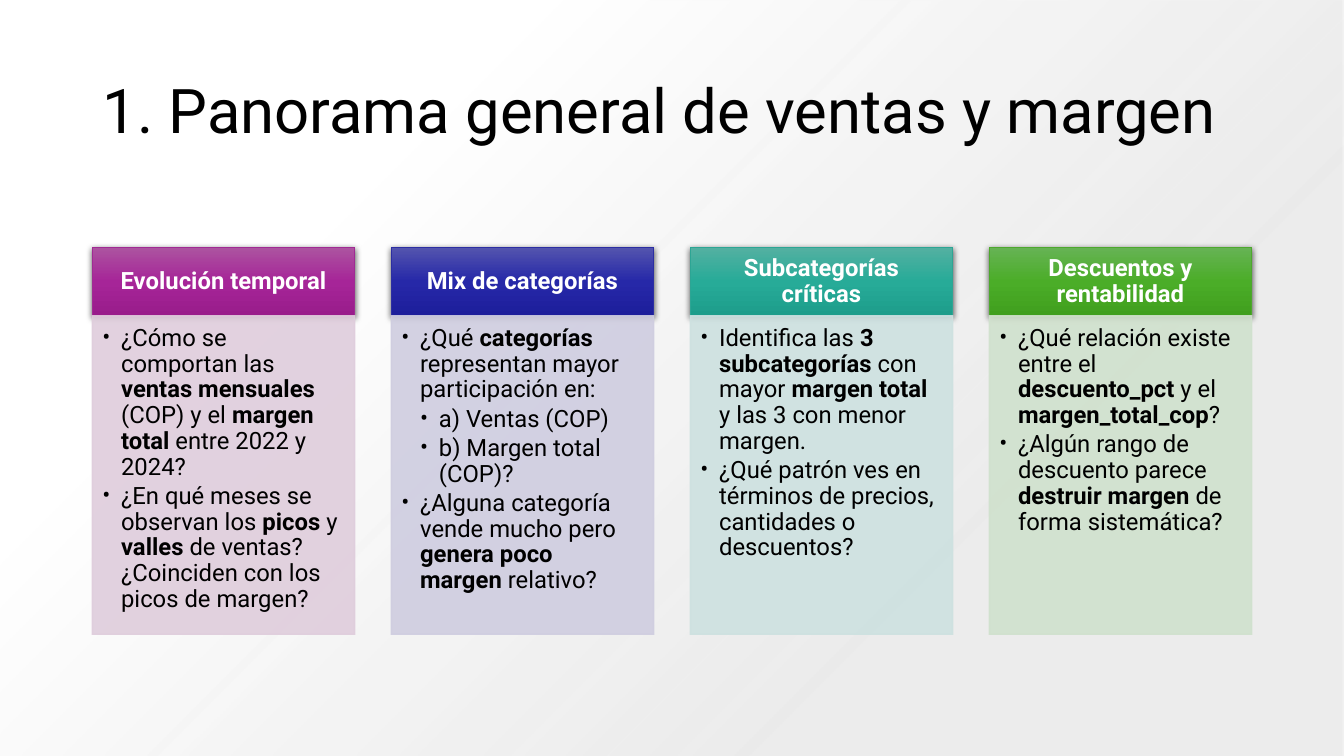
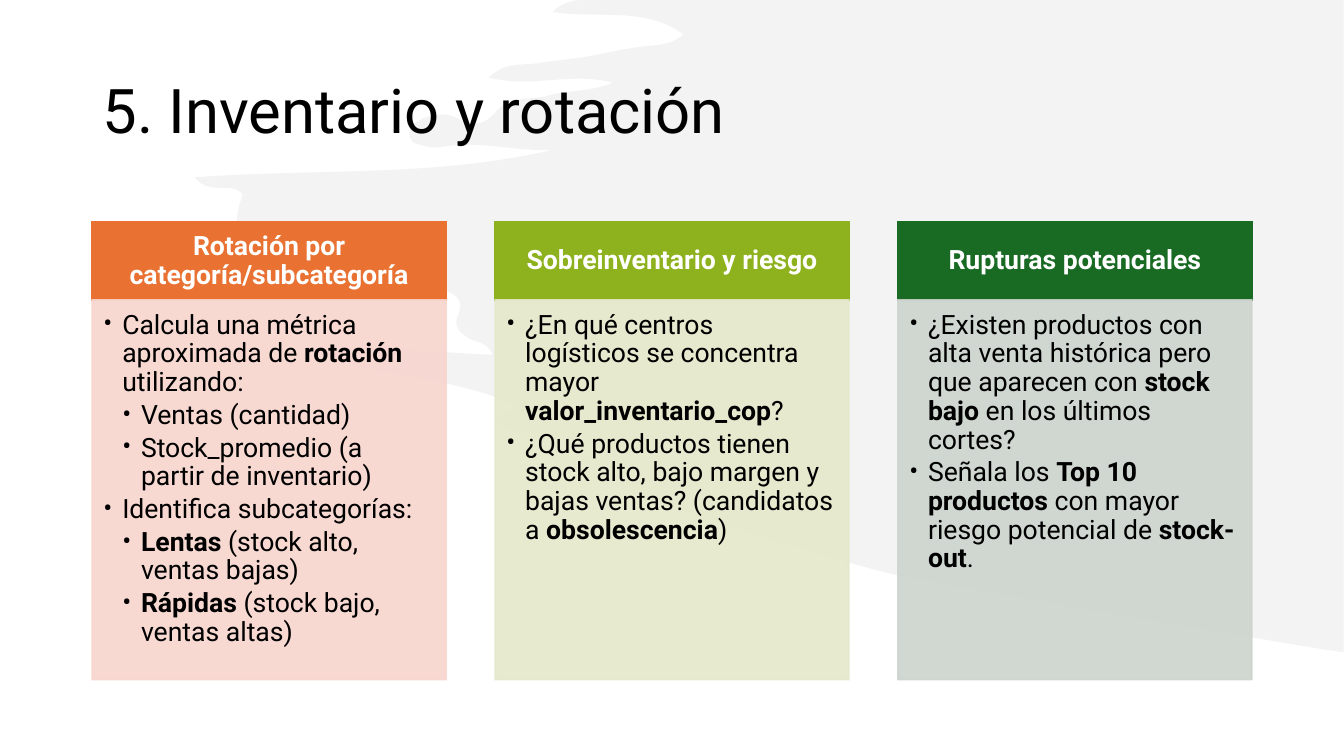
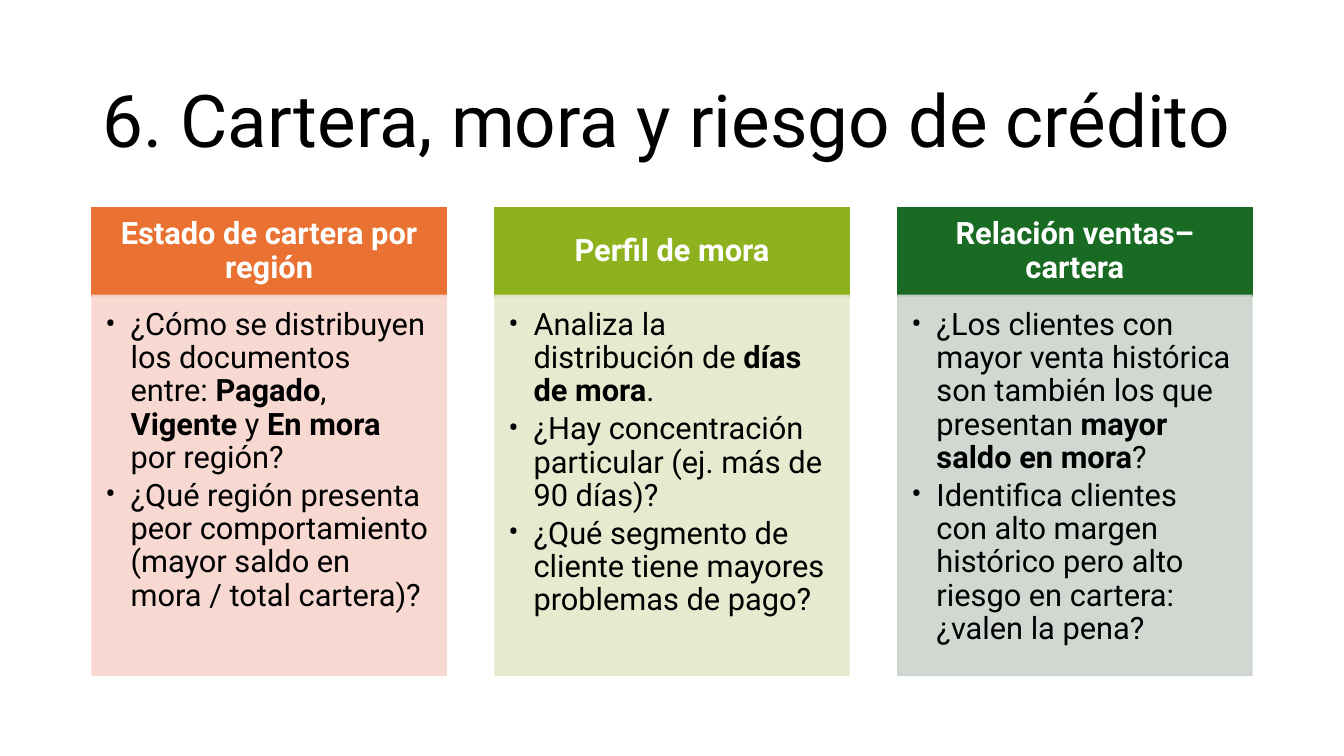
from lxml import etree
from pptx import Presentation
from pptx.dml.color import RGBColor
from pptx.enum.shapes import MSO_SHAPE
from pptx.enum.text import MSO_ANCHOR, MSO_AUTO_SIZE, PP_ALIGN
from pptx.oxml import parse_xml
from pptx.oxml.ns import nsdecls, qn
from pptx.util import Emu, Pt

RECTANGLE = MSO_SHAPE.RECTANGLE
TOP, MIDDLE = MSO_ANCHOR.TOP, MSO_ANCHOR.MIDDLE
LEFT, CENTER = PP_ALIGN.LEFT, PP_ALIGN.CENTER
NO_AUTOFIT = MSO_AUTO_SIZE.NONE

EMU_PER_PX = 3048
PAGE_WIDTH, PAGE_HEIGHT = 4000, 2250
MARGIN, CONTENT_WIDTH = 275, 3450
GAP_RATIO = 0.14
FONT, BLACK, WHITE, GRAY = "Roboto", "000000", "FFFFFF", "E8E8E8"
LINE_SPACING, SPACE_AFTER = 0.9, 0.15

ORANGE = ("E97132", "F7D5CE")
LIME = ("8EB21E", "E5E8CA")
GREEN = ("196B24", "CCD4CD")

SLIDES = [
    {
        "title": "1. Panorama general de ventas y margen",
        "title_box": (120, 435), "title_size": 44,
        "backdrop": "glow",
        "top": 737, "head_height": 203, "body_height": 948,
        "size": 17, "line": 1, "indent": 56,
        "head_insets": (40, 23, 40, 23), "body_insets": (30, 30, 40, 45),
        "columns": [
            ("Evolución temporal", ("A02B93", "DFCDDC"), ("AC53A0", "A62598", "991C8B"), [
                (0, "¿Cómo se comportan las **ventas mensuales** (COP) y el **margen total** entre 2022 y 2024?"),
                (0, "¿En qué meses se observan los **picos** y **valles** de ventas? "
                    "¿Coinciden con los picos de margen?"),
            ]),
            ("Mix de categorías", ("2C2EA2", "CFCDE0"), ("5354AE", "2628A8", "1D1E9B"), [
                (0, "¿Qué **categorías** representan mayor participación en:"),
                (1, "a) Ventas (COP)"),
                (1, "b) Margen total (COP)?"),
                (0, "¿Alguna categoría vende mucho pero **genera poco margen** relativo?"),
            ]),
            ("Subcategorías críticas", ("2DA594", "CDE1E0"), ("53B0A1", "27AB98", "1D9D8B"), [
                (0, "Identifica las **3 subcategorías** con mayor **margen total** y las 3 con menor margen."),
                (0, "¿Qué patrón ves en términos de precios, cantidades o descuentos?"),
            ]),
            ("Descuentos y rentabilidad", ("4EA72E", "D0E1CD"), ("66B354", "4BAD28", "409F1E"), [
                (0, "¿Qué relación existe entre el **descuento_pct** y el **margen_total_cop**?"),
                (0, "¿Algún rango de descuento parece **destruir margen** de forma sistemática?"),
            ]),
        ],
    },
    {
        "title": "5. Inventario y rotación",
        "title_box": (120, 435), "title_size": 44,
        "backdrop": "brush",
        "top": 662, "head_height": 231, "body_height": 1129,
        "size": 19, "line": 1.5, "indent": 56,
        "head_insets": (44, 25, 44, 25), "body_insets": (33, 33, 44, 50),
        "columns": [
            ("Rotación por categoría/subcategoría", ORANGE, None, [
                (0, "Calcula una métrica aproximada de **rotación** utilizando:"),
                (1, "Ventas (cantidad)"),
                (1, "Stock_promedio (a partir de inventario)"),
                (0, "Identifica subcategorías:"),
                (1, "**Lentas** (stock alto, ventas bajas)"),
                (1, "**Rápidas** (stock bajo, ventas altas)"),
            ]),
            ("Sobreinventario y riesgo", LIME, None, [
                (0, "¿En qué centros logísticos se concentra mayor **valor_inventario_cop**?"),
                (0, "¿Qué productos tienen stock alto, bajo margen y bajas ventas? "
                    "(candidatos a **obsolescencia**)"),
            ]),
            ("Rupturas potenciales", GREEN, None, [
                (0, "¿Existen productos con alta venta histórica pero que aparecen con "
                    "**stock bajo** en los últimos cortes?"),
                (0, "Señala los **Top 10 productos** con mayor riesgo potencial de **stock-out**."),
            ]),
        ],
    },
    {
        "title": "6. Cartera, mora y riesgo de crédito",
        "title_box": (183, 372), "title_size": 52,
        "backdrop": None,
        "top": 618, "head_height": 262, "body_height": 1129,
        "size": 22, "line": 1.5, "indent": 75,
        "head_insets": (51, 29, 51, 29), "body_insets": (39, 39, 51, 58),
        "columns": [
            ("Estado de cartera por región", ORANGE, None, [
                (0, "¿Cómo se distribuyen los documentos entre: **Pagado**, **Vigente** y **En mora** por región?"),
                (0, "¿Qué región presenta peor comportamiento (mayor saldo en mora / total cartera)?"),
            ]),
            ("Perfil de mora", LIME, None, [
                (0, "Analiza la distribución de **días de mora**."),
                (0, "¿Hay concentración particular (ej. más de 90 días)?"),
                (0, "¿Qué segmento de cliente tiene mayores problemas de pago?"),
            ]),
            ("Relación ventas–cartera", GREEN, None, [
                (0, "¿Los clientes con mayor venta histórica son también los que presentan "
                    "**mayor saldo en mora**?"),
                (0, "Identifica clientes con alto margen histórico pero alto riesgo en cartera: "
                    "¿valen la pena?"),
            ]),
        ],
    },
]

BRUSH_SCALE = 3
BRUSH_START = (1333, 0)
BRUSH_CURVES = [
    (575, 0),
    (567, 1, 557, 3, 548, 12), (595, 19, 639, 6, 678, 34),
    (664, 47, 648, 44, 632, 47), (616, 49, 600, 53, 584, 56),
    (567, 59, 549, 60, 532, 63), (518, 65, 502, 61, 485, 77),
    (527, 88, 566, 71, 608, 82), (584, 92, 563, 89, 544, 95),
    (527, 100, 506, 94, 492, 111), (481, 124, 469, 126, 455, 118),
    (442, 111, 428, 113, 415, 120), (411, 123, 406, 126, 406, 132),
    (406, 141, 412, 143, 418, 144), (424, 146, 431, 147, 437, 146),
    (474, 139, 510, 150, 547, 149), (431, 176, 314, 167, 193, 176),
    (209, 195, 229, 179, 241, 193), (230, 222, 234, 237, 258, 239),
    (280, 241, 304, 231, 316, 265), (320, 276, 341, 273, 355, 275),
    (384, 279, 414, 275, 442, 288), (453, 293, 460, 297, 455, 311),
    (449, 325, 456, 330, 466, 336), (473, 340, 483, 339, 489, 352),
    (428, 350, 369, 340, 309, 350), (375, 374, 447, 373, 512, 402),
    (510, 412, 495, 407, 494, 422), (528, 438, 569, 427, 605, 450),
    (584, 461, 565, 444, 545, 454), (552, 469, 840, 561, 892, 571),
    (978, 587, 1195, 625, 1318, 645),
    (1333, 647),
]


def px(value):
    return Emu(round(value * EMU_PER_PX))


def rgb(color):
    return RGBColor.from_string(color)


def set_alpha(solid_owner, percent):
    for color in solid_owner.iter(qn("a:srgbClr")):
        etree.SubElement(color, qn("a:alpha")).set("val", str(percent * 1000))


def fill_gradient(shape, stops, direction):
    marks = "".join(
        f'<a:gs pos="{position * 1000}"><a:srgbClr val="{color}">'
        f'<a:alpha val="{alpha * 1000}"/></a:srgbClr></a:gs>'
        for position, color, alpha in stops)
    shape.fill.background()
    properties = shape.element.spPr
    properties.replace(properties.find(qn("a:noFill")), parse_xml(
        f'<a:gradFill {nsdecls("a")} rotWithShape="1"><a:gsLst>{marks}</a:gsLst>{direction}</a:gradFill>'))


def add_panel(page, left, top, width, height, fill, line=None, line_width=1):
    panel = page.shapes.add_shape(RECTANGLE, px(left), px(top), px(width), px(height))
    panel.shadow.inherit = False
    panel.fill.solid()
    panel.fill.fore_color.rgb = rgb(fill)
    if line:
        panel.line.color.rgb = rgb(line)
        panel.line.width = Pt(line_width)
        outline = panel.element.spPr.find(qn("a:ln"))
        etree.SubElement(outline, qn("a:miter")).set("lim", "800000")
    else:
        panel.line.fill.background()
    return panel


def add_shadow(shape):
    shape.element.spPr.find(qn("a:effectLst")).append(parse_xml(
        f'<a:outerShdw {nsdecls("a")} blurRad="57150" dist="19050" dir="5400000" algn="ctr" rotWithShape="0">'
        f'<a:srgbClr val="{BLACK}"><a:alpha val="63000"/></a:srgbClr></a:outerShdw>'))


def prepare_frame(shape, anchor, insets):
    frame = shape.text_frame
    frame.word_wrap = True
    frame.auto_size = NO_AUTOFIT
    frame.vertical_anchor = anchor
    frame.margin_left, frame.margin_top, frame.margin_right, frame.margin_bottom = map(px, insets)
    return frame


def write_paragraph(para, text, size, color, align, bold=False):
    para.alignment = align
    para.line_spacing = LINE_SPACING
    for index, part in enumerate(text.split("**")):
        if part:
            span = para.add_run()
            span.text = part
            span.font.name = FONT
            span.font.size = Pt(size)
            span.font.color.rgb = rgb(color)
            span.font.bold = bold or index % 2 == 1


def write_bullets(frame, bullets, size, indent):
    for index, (level, text) in enumerate(bullets):
        para = frame.paragraphs[0] if index == 0 else frame.add_paragraph()
        properties = para._p.get_or_add_pPr()
        properties.set("marL", str(px(indent * (level + 1))))
        properties.set("indent", str(px(-indent)))
        etree.SubElement(properties, qn("a:buFont")).set("typeface", FONT)
        etree.SubElement(properties, qn("a:buChar")).set("char", "•")
        para.level = level
        para.space_before = Pt(0)
        para.space_after = Pt(round(size * SPACE_AFTER, 2))
        write_paragraph(para, text, size, BLACK, LEFT)


def add_glow(page):
    glow = add_panel(page, 0, 0, PAGE_WIDTH, PAGE_HEIGHT, WHITE)
    fill_gradient(glow, [(28, GRAY, 84), (74, WHITE, 100)],
                  '<a:path path="circle"><a:fillToRect l="100000" t="100000"/></a:path>')
    return glow


def brush_point(x, y):
    return px(x * BRUSH_SCALE), px(y * BRUSH_SCALE)


def bend_segments(shape, curves):
    segments = list(shape.element.spPr.iter(qn("a:lnTo")))
    for segment, curve in zip(segments, curves):
        if len(curve) == 6:
            bend = etree.Element(qn("a:cubicBezTo"))
            for x, y in zip(curve[::2], curve[1::2]):
                left, top = brush_point(x, y)
                point = etree.SubElement(bend, qn("a:pt"))
                point.set("x", str(left - shape.left))
                point.set("y", str(top - shape.top))
            segment.getparent().replace(segment, bend)


def add_brush(page):
    builder = page.shapes.build_freeform(*brush_point(*BRUSH_START), scale=1.0)
    builder.add_line_segments([brush_point(*curve[-2:]) for curve in BRUSH_CURVES], close=True)
    brush = builder.convert_to_shape()
    bend_segments(brush, BRUSH_CURVES)
    brush.shadow.inherit = False
    brush.fill.solid()
    brush.fill.fore_color.rgb = rgb(GRAY)
    set_alpha(brush.element.spPr, 50)
    brush.line.fill.background()
    return brush


BACKDROPS = {"glow": add_glow, "brush": add_brush}


def add_title(page, content):
    title = page.shapes.title
    top, height = content["title_box"]
    title.left, title.top, title.width, title.height = map(px, (MARGIN, top, CONTENT_WIDTH, height))
    frame = prepare_frame(title, MIDDLE, (30, 15, 30, 15))
    write_paragraph(frame.paragraphs[0], content["title"], content["title_size"], BLACK, LEFT)


def add_columns(page, content):
    columns = content["columns"]
    width = CONTENT_WIDTH / (len(columns) + GAP_RATIO * (len(columns) - 1))
    body_top = content["top"] + content["head_height"]
    for index, (heading, (strong, pale), shades, bullets) in enumerate(columns):
        left = MARGIN + index * width * (1 + GAP_RATIO)
        head = add_panel(page, left, content["top"], width, content["head_height"],
                         strong, strong, content["line"])
        if shades:
            fill_gradient(head, [(place, shade, 100) for place, shade in zip((0, 50, 100), shades)],
                          '<a:lin ang="5400000" scaled="0"/>')
            add_shadow(head)
        frame = prepare_frame(head, MIDDLE, content["head_insets"])
        write_paragraph(frame.paragraphs[0], heading, content["size"], WHITE, CENTER, bold=True)

        body = add_panel(page, left, body_top, width, content["body_height"],
                         pale, pale, content["line"])
        set_alpha(body.element.spPr, 90)
        frame = prepare_frame(body, TOP, content["body_insets"])
        write_bullets(frame, bullets, content["size"], content["indent"])


def main():
    deck = Presentation()
    deck.slide_width, deck.slide_height = px(PAGE_WIDTH), px(PAGE_HEIGHT)
    for content in SLIDES:
        page = deck.slides.add_slide(deck.slide_layouts[5])
        add_title(page, content)
        if content["backdrop"]:
            backdrop = BACKDROPS[content["backdrop"]](page)
            page.shapes.title.element.addprevious(backdrop.element)
        add_columns(page, content)
    deck.save("out.pptx")


if __name__ == "__main__":
    main()
